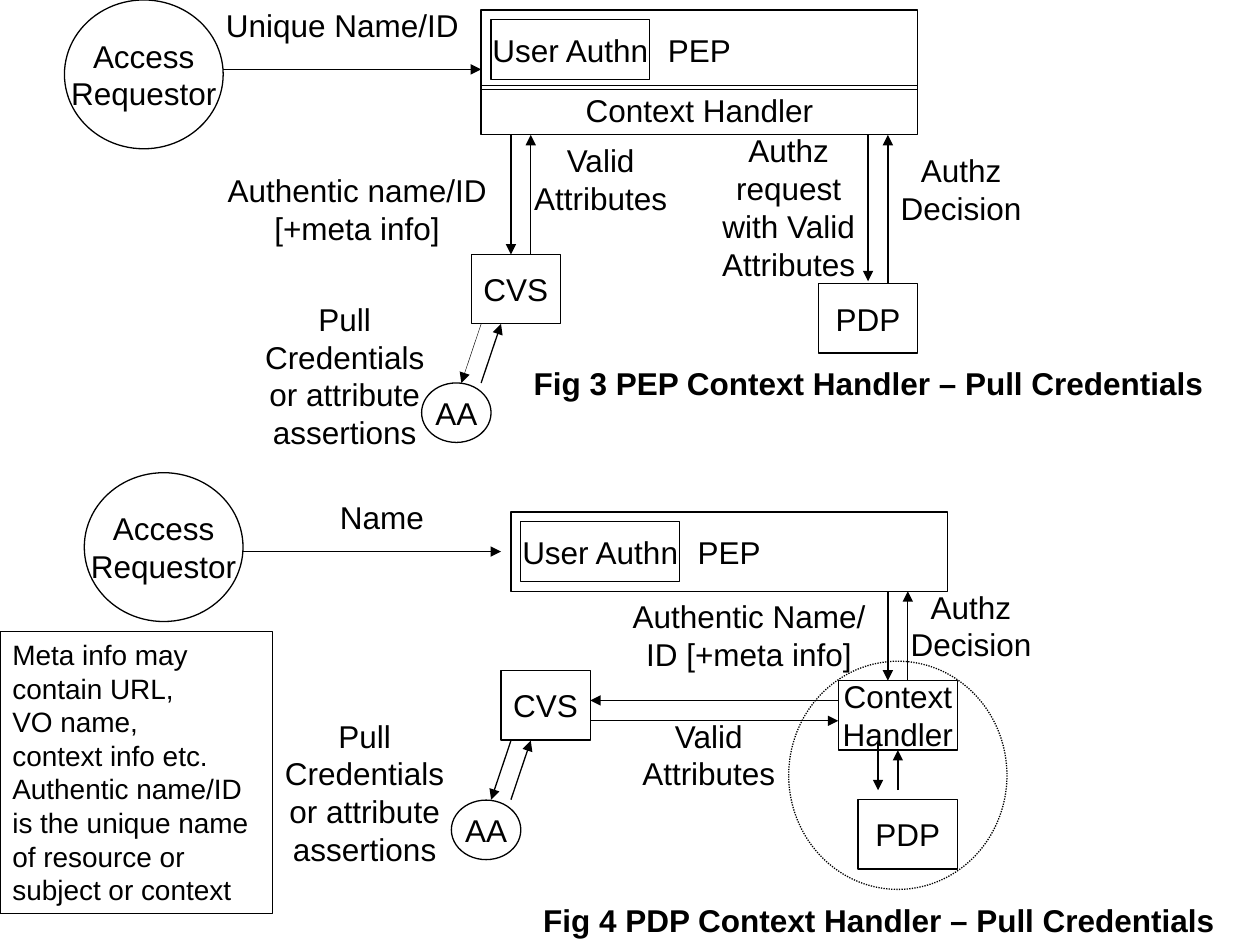
from lxml.etree import SubElement as Sub
from pptx import Presentation
from pptx.dml.color import RGBColor
from pptx.enum.dml import MSO_LINE as Dash
from pptx.enum.shapes import MSO_CONNECTOR as Conn, MSO_SHAPE as Form
from pptx.enum.text import MSO_ANCHOR as Anchor, MSO_AUTO_SIZE as Fit, PP_ALIGN as Align
from pptx.oxml.ns import qn
from pptx.util import Cm, Pt

BLACK = RGBColor(0, 0, 0)
FONT = "Arial"
BOX, OVAL = Form.RECTANGLE, Form.OVAL

# Texts and sizes shared by both figures, in cm
ACCESS = ["Access", "Requestor"]
VALID = ["Valid", "Attributes"]
AUTHZ = ["Authz", "Decision"]
PULL = ["Pull", "Credentials", "or attribute", "assertions"]
ROUND, PEP, AUTHN = (3.2, 3), (8.8, 1.6), (3.2, 1.2)
CVS, AA, PDP = (1.8, 1.4), (1.4, 1.2), (2, 1.4)
VALID_SIZE, AUTHZ_SIZE, PULL_SIZE = (3.3, 1.78), (3.05, 1.78), (3.8, 3.3)

# Nodes: form, left, top, size, lines
NODES = [
    # Fig 3
    (OVAL, 1.3, 0, ROUND, ACCESS),
    (BOX, 9.7, 0.2, PEP, ["PEP"]),
    (BOX, 9.9, 0.4, AUTHN, ["User Authn"]),
    (BOX, 9.7, 1.72, (8.8, 1), ["Context Handler"]),
    (BOX, 9.5, 5.13, CVS, ["CVS"]),
    (OVAL, 8.5, 7.72, AA, ["AA"]),
    (BOX, 16.5, 5.72, PDP, ["PDP"]),
    # Fig 4
    (OVAL, 1.7, 9.53, ROUND, ACCESS),
    (BOX, 10.3, 10.32, PEP, ["PEP"]),
    (BOX, 10.5, 10.52, AUTHN, ["User Authn"]),
    (BOX, 10.1, 13.52, CVS, ["CVS"]),
    (OVAL, 9.1, 16.13, AA, ["AA"]),
    (BOX, 16.9, 13.72, (2.4, 1.4), ["Context", "Handler"]),
    (BOX, 17.3, 16.12, PDP, ["PDP"]),
]

# Labels: left, top, size, lines, wrap
LABELS = [
    # Fig 3
    (4.25, 0, (5.3, 1.02), ["Unique Name/ID"], False),
    (4.1, 3.33, (6.2, 1.78), ["Authentic name/ID [+meta info]"], True),
    (10.46, 2.72, VALID_SIZE, VALID, False),
    (14.1, 2.52, (3.6, 3.3), ["Authz request with Valid", "Attributes"], True),
    (17.85, 2.93, AUTHZ_SIZE, AUTHZ, False),
    (5.05, 5.92, PULL_SIZE, PULL, False),
    # Fig 4
    (6.55, 9.92, (2.3, 1.02), ["Name"], False),
    (12.5, 11.92, (5.2, 2.54), ["Authentic Name/ ID [+meta info]"], True),
    (18.05, 11.72, AUTHZ_SIZE, AUTHZ, False),
    (12.64, 14.32, VALID_SIZE, VALID, False),
    (5.45, 14.32, PULL_SIZE, PULL, False),
]

TITLES = [
    (10.45, 7.22, (14.12, 1.02), "Fig 3 PEP Context Handler – Pull Credentials"),
    (10.65, 18.03, (14.14, 1.02), "Fig 4 PDP Context Handler – Pull Credentials"),
]

NOTE = ["Meta info may", "contain URL,", "VO name,", "context info etc.",
        "Authentic name/ID is the unique name of resource or subject or context"]

# Arrows: start x, y, end x, y, width in points
ARROWS = [
    # Fig 3
    (4.5, 1.4, 9.7, 1.4, 0.75),
    (10.3, 2.72, 10.3, 5.13, 0.75),
    (10.7, 5.13, 10.7, 2.72, 0.75),
    (17.5, 2.72, 17.5, 5.67, 0.75),
    (17.9, 5.72, 17.9, 2.72, 0.75),
    (9.7, 6.53, 9.3, 7.72, 0.25),
    (9.7, 7.72, 10.1, 6.53, 0.75),
    # Fig 4
    (4.9, 11.12, 10.1, 11.12, 0.75),
    (17.9, 11.92, 17.9, 13.72, 0.75),
    (18.3, 13.72, 18.3, 11.92, 0.75),
    (16.9, 14.12, 11.9, 14.12, 0.75),
    (11.9, 14.53, 16.9, 14.53, 0.75),
    (10.3, 14.93, 9.9, 16.12, 0.75),
    (10.3, 16.12, 10.7, 14.93, 0.75),
    (17.7, 14.93, 17.7, 15.93, 0.75),
    (18.1, 15.93, 18.1, 15.12, 0.75),
]


def write(shape, lines, wrap=False, size=18, bold=False,
          align=Align.CENTER, anchor=Anchor.TOP):
    frame = shape.text_frame
    frame.word_wrap = wrap
    frame.vertical_anchor = anchor
    for i, line in enumerate(lines):
        para = frame.paragraphs[0] if i == 0 else frame.add_paragraph()
        para.alignment = align
        run = para.add_run()
        run.text = line
        font = run.font
        font.name, font.size, font.bold = FONT, Pt(size), bold
        font.color.rgb = BLACK


def draw(form, left, top, size):
    shape = shapes.add_shape(form, Cm(left), Cm(top), *map(Cm, size))
    shape.shadow.inherit = False
    shape.fill.background()
    shape.line.color.rgb = BLACK
    shape.line.width = Pt(0.75)
    return shape


def label(left, top, size, lines, wrap=False, bold=False):
    box = shapes.add_textbox(Cm(left), Cm(top), *map(Cm, size))
    write(box, lines, wrap, bold=bold)
    box.text_frame.auto_size = Fit.SHAPE_TO_FIT_TEXT


def arrow(x1, y1, x2, y2, width):
    link = shapes.add_connector(Conn.STRAIGHT, Cm(x1), Cm(y1), Cm(x2), Cm(y2))
    link.line.color.rgb = BLACK
    link.line.width = Pt(width)
    Sub(link.line._get_or_add_ln(), qn("a:tailEnd"), type="triangle")
    Sub(link._element.spPr, qn("a:effectLst"))


deck = Presentation()
deck.slide_width, deck.slide_height = Cm(25.4), Cm(19.05)
shapes = deck.slides.add_slide(deck.slide_layouts[6]).shapes

# Labels and figure titles
for item in LABELS:
    label(*item)
for left, top, size, text in TITLES:
    label(left, top, size, [text], bold=True)

# Arrows and nodes
for item in ARROWS:
    arrow(*item)
for form, left, top, size, lines in NODES:
    write(draw(form, left, top, size), lines, anchor=Anchor.MIDDLE)

# Dotted ring around the context handler and PDP
ring = draw(OVAL, 15.9, 13.33, (4.4, 4.6))
ring.line.dash_style = Dash.ROUND_DOT

# Note on meta info
note = draw(BOX, 0, 12.73, (5.49, 5.69))
write(note, NOTE, wrap=True, size=16, align=Align.LEFT)

deck.save("out.pptx")
